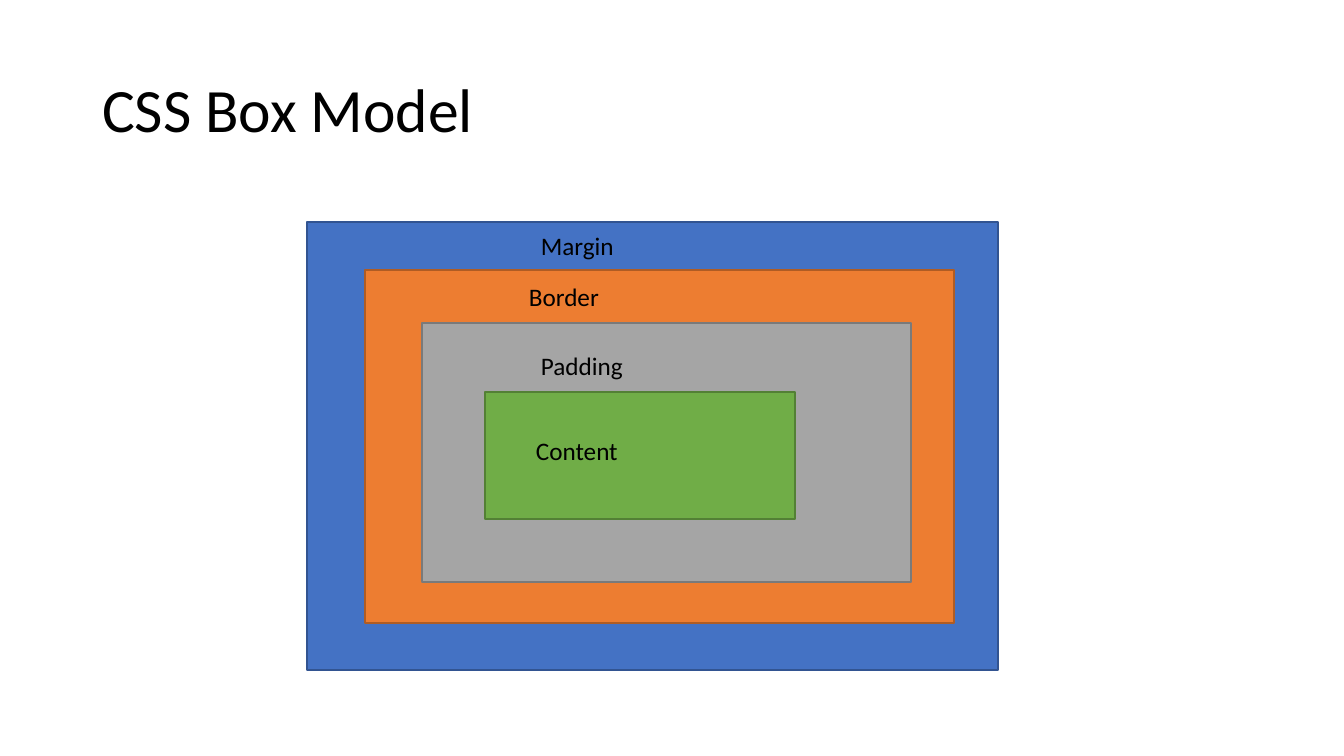
import pptx
import pptx.dml.color
import pptx.enum.shapes
import pptx.enum.text
import pptx.util

RGBColor = pptx.dml.color.RGBColor
BLACK = RGBColor(0x00, 0x00, 0x00)
BLUE = RGBColor(0x44, 0x72, 0xC4)
BLUE_EDGE = RGBColor(0x32, 0x54, 0x91)
ORANGE = RGBColor(0xED, 0x7D, 0x31)
ORANGE_EDGE = RGBColor(0xAF, 0x5C, 0x24)
GRAY = RGBColor(0xA5, 0xA5, 0xA5)
GRAY_EDGE = RGBColor(0x7A, 0x7A, 0x7A)
GREEN = RGBColor(0x70, 0xAD, 0x47)
GREEN_EDGE = RGBColor(0x53, 0x80, 0x35)

PX_PER_INCH = 100.8
LABEL_WIDTH, LABEL_HEIGHT = 305, 40


def px(*lengths):
    """Turn pixel lengths into EMU."""
    return [pptx.util.Inches(length / PX_PER_INCH) for length in lengths]


def write(shape, text, size):
    """Put one black Calibri paragraph into a shape."""
    para = shape.text_frame.paragraphs[0]
    para.text = text
    para.alignment = pptx.enum.text.PP_ALIGN.LEFT
    para.font.name = "Calibri"
    para.font.size = pptx.util.Pt(size)
    para.font.color.rgb = BLACK
    return para


deck = pptx.Presentation()
deck.slide_width, deck.slide_height = px(1344, 756)
page = deck.slides.add_slide(deck.slide_layouts[5])

title = page.shapes.title
title.left, title.top, title.width, title.height = px(92, 40, 1159, 146)
title.text_frame.vertical_anchor = pptx.enum.text.MSO_ANCHOR.MIDDLE
title.text_frame.word_wrap = True
write(title, "CSS Box Model", 44).line_spacing = 0.9

# Boxes from the outermost inwards
layers = [
    ((307, 222, 691, 448), BLUE, BLUE_EDGE),
    ((365, 270, 589, 353), ORANGE, ORANGE_EDGE),
    ((422, 323, 489, 259), GRAY, GRAY_EDGE),
    ((485, 392, 310, 127), GREEN, GREEN_EDGE),
]
for bounds, fill, edge in layers:
    box = page.shapes.add_shape(pptx.enum.shapes.MSO_SHAPE.RECTANGLE, *px(*bounds))
    box.shadow.inherit = False
    box.fill.solid()
    box.fill.fore_color.rgb = fill
    box.line.color.rgb = edge
    box.line.width = pptx.util.Pt(1)

labels = [
    ("Content", 526, 430),
    ("Padding", 531, 345),
    ("Border", 519, 276),
    ("Margin", 531, 225),
]
for text, left, top in labels:
    label = page.shapes.add_textbox(*px(left, top, LABEL_WIDTH, LABEL_HEIGHT))
    label.text_frame.word_wrap = True
    label.text_frame.auto_size = pptx.enum.text.MSO_AUTO_SIZE.SHAPE_TO_FIT_TEXT
    write(label, text, 18)

deck.save("out.pptx")
